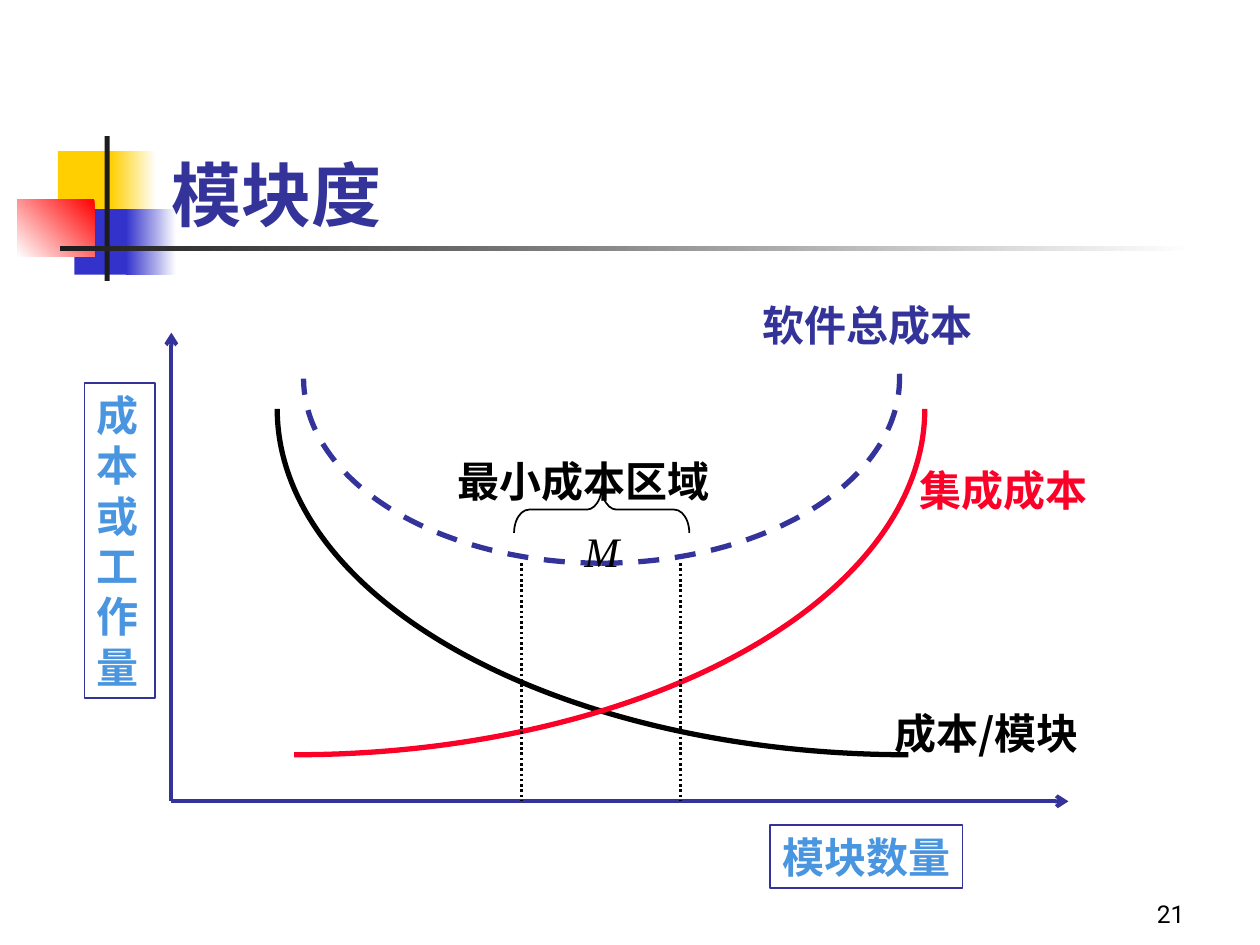
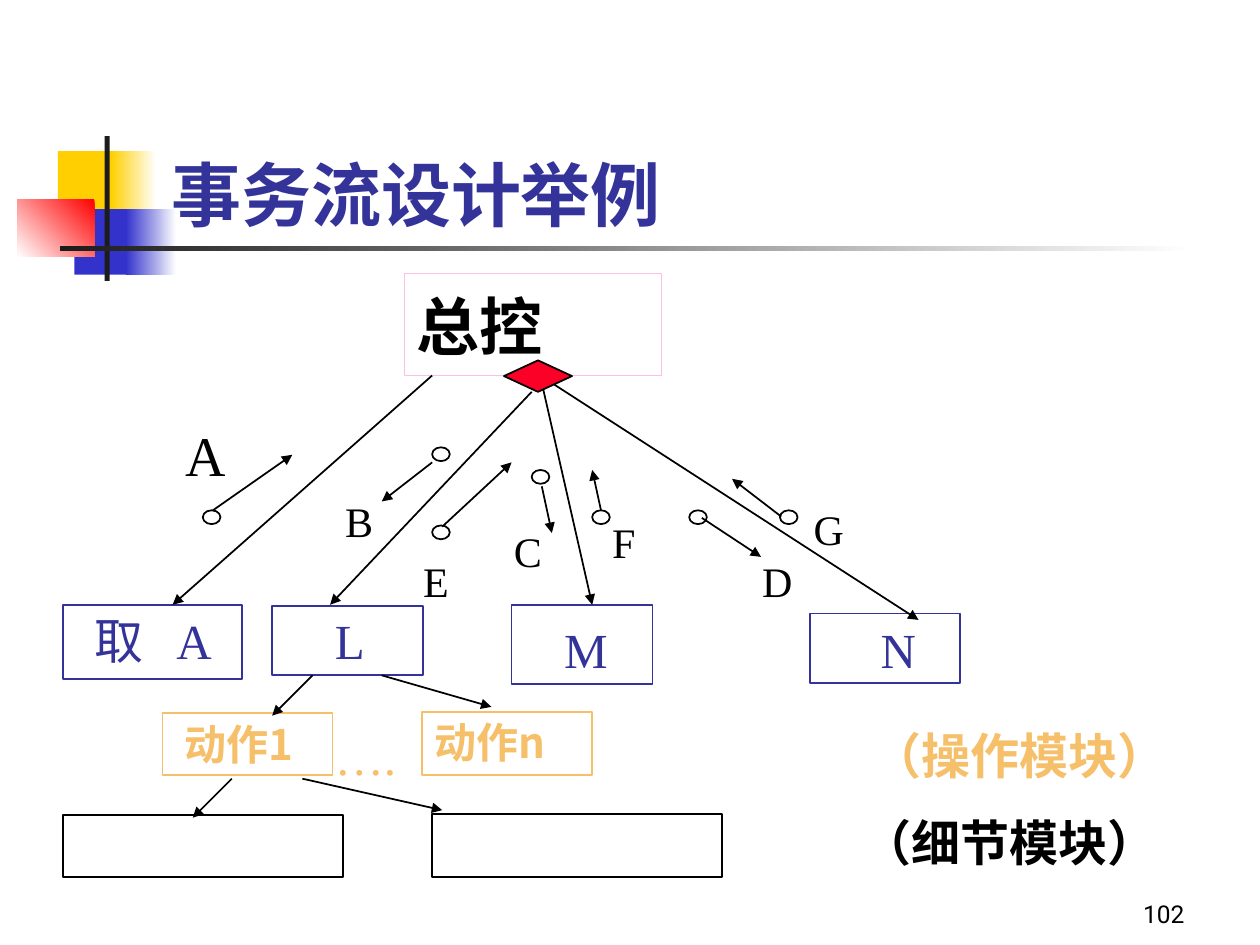
from dataclasses import dataclass

from lxml.etree import SubElement
from pptx import Presentation
from pptx.dml.color import RGBColor
from pptx.enum.dml import MSO_LINE
from pptx.enum.shapes import MSO_CONNECTOR, MSO_SHAPE
from pptx.enum.text import MSO_ANCHOR, MSO_AUTO_SIZE, PP_ALIGN
from pptx.oxml.ns import qn
from pptx.slide import Slide
from pptx.util import Inches, Pt

HUES = {
    "navy": "333399", "blue": "3333CC", "sky": "4A95E0", "gold": "FFCF01",
    "red": "FF0000", "rose": "FC0128", "pink": "FDC0E5", "sand": "F6BF69",
    "coal": "1C1C1C", "black": "000000", "white": "FFFFFF",
}
HAN, SERIF, SANS = "Noto Sans CJK SC", "Times New Roman", "Roboto"
BOLD = {"face": HAN, "bold": True}


def rgb(hue):
    """Return the named colour."""
    return RGBColor.from_string(HUES[hue])


def apply(item, **look):
    """Set each given format value on an item."""
    for key, value in look.items():
        setattr(item, key, value)


def ink(line, hue, width=1, dash=None):
    """Format an outline, or hide it when no colour is given."""
    if hue is None:
        line.fill.background()
        return
    line.color.rgb = rgb(hue)
    apply(line, width=Pt(width), dash_style=dash)


def write(frame, text, size, hue, face=SERIF, align=PP_ALIGN.LEFT, space=None, tab=None, **look):
    """Fill a text frame with one formatted paragraph."""
    frame.text = text
    para = frame.paragraphs[0]
    apply(para, alignment=align, line_spacing=space)
    if tab:
        stops = SubElement(para._p.get_or_add_pPr(), qn("a:tabLst"))
        SubElement(stops, qn("a:tab"), pos=str(Inches(tab)), algn="l")
    font = para.runs[0].font
    apply(font, name=face, size=Pt(size), **look)
    font.color.rgb = rgb(hue)
    SubElement(font._element, qn("a:ea"), typeface=HAN)


@dataclass
class Pen:
    """Draws on a slide, measuring from the corner of a box."""
    slide: Slide
    left: float
    top: float

    def spot(self, x, y):
        """Turn a place in the box into a place on the slide."""
        return Inches(self.left + x), Inches(self.top + y)

    def shape(self, box, fill=None, edge=None, kind=MSO_SHAPE.RECTANGLE, fade=None):
        """Draw a preset shape, plain or with a two-colour fade."""
        x, y, wide, high = box
        item = self.slide.shapes.add_shape(kind, *self.spot(x, y), Inches(wide), Inches(high))
        item.shadow.inherit = False
        ink(item.line, edge)
        if fade:
            *ends, angle = fade
            item.fill.gradient()
            item.fill.gradient_angle = angle
            for stop, hue, place in zip(item.fill.gradient_stops, ends, (0, 1)):
                stop.position = place
                stop.color.rgb = rgb(hue)
        elif fill:
            item.fill.solid()
            item.fill.fore_color.rgb = rgb(fill)
        else:
            item.fill.background()
        return item

    def text(self, text, box, size, hue, edge=None, wrap=True, inset=0.1, **look):
        """Add text, framed or not, in a box that grows with it."""
        x, y, wide, high = box
        if edge:
            item = self.shape(box, edge=edge)
        else:
            item = self.slide.shapes.add_textbox(*self.spot(x, y), Inches(wide), Inches(high))
        apply(item.text_frame, word_wrap=wrap, auto_size=MSO_AUTO_SIZE.SHAPE_TO_FIT_TEXT,
              vertical_anchor=MSO_ANCHOR.TOP, margin_left=Inches(inset))
        write(item.text_frame, text, size, hue, **look)
        return item

    def line(self, start, end, hue="black", width=1, dash=None, tip="triangle"):
        """Draw a straight line, with an arrowhead at its end."""
        item = self.slide.shapes.add_connector(
            MSO_CONNECTOR.STRAIGHT, *self.spot(*start), *self.spot(*end))
        ink(item.line, hue, width, dash)
        props = item.element.spPr
        if tip:
            SubElement(props.get_or_add_ln(), qn("a:tailEnd"), type=tip)
        SubElement(props, qn("a:effectLst"))

    def arc(self, box, hue, stop=180, flip=False, dash=None):
        """Draw an arc from the foot of an ellipse to an angle, mirrored if asked."""
        item = self.shape(box, kind=MSO_SHAPE.ARC)
        for index, angle in enumerate((90, stop)):
            item.adjustments[index] = angle * 0.6
        if flip:
            item.element.spPr.xfrm.set("flipH", "1")
        ink(item.line, hue, 3, dash)


def badge(slide, layout, left, top):
    """Draw the squares and rules beside the title and keep them in the layout."""
    for mark in list(layout.placeholders)[1:]:
        layout.shapes.element.remove(mark.element)
    pen = Pen(slide, left, top)
    parts = [
        ((0.32, 0.12, 0.48, 0.52), "gold", None),
        ((0.74, 0.12, 0.36, 0.52), None, ("white", "gold", 180)),
        ((0.45, 0.58, 0.46, 0.52), "blue", None),
        ((0.86, 0.58, 0.4, 0.52), None, ("white", "blue", 180)),
        ((0, 0.5, 0.61, 0.46), None, ("red", "white", 225)),
        ((0.69, 0, 0.04, 1.15), "coal", None),
        ((0.34, 0.87, 9, 0.04), None, ("white", "coal", 180)),
    ]
    for box, fill, fade in parts:
        layout.shapes.element.append(pen.shape(box, fill, fade=fade).element)


def head(slide, title, page):
    """Place the title and the page number."""
    item = slide.shapes.title
    apply(item, left=Inches(1.26), top=Inches(0.67), width=Inches(8.52), height=Inches(1.25))
    low = {"vertical_anchor": MSO_ANCHOR.BOTTOM, "auto_size": MSO_AUTO_SIZE.NONE}
    apply(item.text_frame, word_wrap=True, **low)
    write(item.text_frame, title, 40, "navy", SANS, bold=True)
    note = Pen(slide, 7.42, 6.92).text(
        page, (0, 0, 2.08, 0.5), 14, "black", face=SANS, align=PP_ALIGN.RIGHT)
    apply(note.text_frame, **low)


def costs(slide, left, top):
    """Draw the cost curves over the number of modules."""
    pen = Pen(slide, left, top)
    base, zero = 4.36, 1.36
    for end in ((8.48, base), (zero, 0.64)):
        pen.line((zero, base), end, "navy", 2.25, tip="arrow")
    pen.text("成本或工作量", (0.67, 1.04, 0.56, 2.5), 24, "sky", "navy", **BOLD)
    pen.text("模块数量", (6.11, 4.55, 1.53, 0.5), 24, "sky", "navy", False, **BOLD)
    pen.text("软件总成本", (5.95, 0.33, 2.3, 0.5), 24, "navy", **BOLD)
    pen.arc((2.2, -1.5, 10.02, 5.49), "black")
    pen.arc((-2.67, -1.5, 10.01, 5.49), "rose", flip=True)
    for stop, flip in ((180, False), (183.9, True)):
        pen.arc((2.41, -0.46, 4.73, 2.93), "navy", stop, flip, MSO_LINE.DASH)
    pen.text("集成成本", (7.2, 1.64, 2.3, 0.5), 24, "rose", **BOLD)
    pen.text("成本/模块", (7, 3.57, 2.02, 0.5), 24, "black", **BOLD)
    for x in (4.14, 5.4):
        pen.line((x, 2.47), (x, base), width=1.5, dash=MSO_LINE.ROUND_DOT, tip=None)
    brace = pen.shape((4.59, 1.35, 0.37, 1.39), edge="black", kind=MSO_SHAPE.LEFT_BRACE)
    brace.rotation = 90
    brace.adjustments[0] = 0.32
    pen.text("M", (4.54, 2.12, 0.48, 0.5), 24, "black", wrap=False, italic=True)
    pen.text("最小成本区域", (3.53, 1.57, 2.2, 0.5), 24, "black", wrap=False, **BOLD)


def signal(slide, left, top, name, start, tip, label, size=24):
    """Draw a data flow: a ring, its arrow and its letter."""
    pen = Pen(slide, left, top)
    pen.shape((0, 0, 0.14, 0.11), edge="black", kind=MSO_SHAPE.OVAL)
    pen.line(start, tip)
    pen.text(name, label, size, "black")


def tree(slide, left, top):
    """Draw the module tree below the main control."""
    pen = Pen(slide, left, top)
    for box, hue in (
        ((3.21, 0.17, 2.04, 0.81), "pink"),
        ((0.5, 2.8, 1.42, 0.59), "navy"),
        ((2.16, 2.81, 1.2, 0.55), "navy"),
        ((4.06, 2.8, 1.12, 0.63), "navy"),
        ((6.43, 2.87, 1.19, 0.55), "navy"),
        ((1.29, 3.66, 1.35, 0.49), "sand"),
        ((3.35, 3.65, 1.35, 0.5), "sand"),
        ((0.5, 4.47, 2.22, 0.49), "black"),
        ((3.43, 4.46, 2.3, 0.5), "black"),
    ):
        pen.shape(box, edge=hue)
    pen.text("总控", (3.03, 0.23, 2.23, 0.7), 36, "black", inset=0.28, **BOLD)
    pen.text("取\tA", (0.56, 2.89, 1.75, 0.47), 28, "navy", inset=0.19, space=0.8, tab=0.65)
    for name, box in (
        ("L", (2.56, 2.8, 0.96, 0.56)),
        ("M", (4.38, 2.87, 0.8, 0.56)),
        ("N", (6.89, 2.87, 0.96, 0.56)),
    ):
        pen.text(name, box, 28, "navy")
    for text, box, size, hue in (
        ("动作1", (1.37, 3.65, 1.5, 0.5), 24, "sand"),
        ("动作n", (3.35, 3.64, 1.82, 0.5), 24, "sand"),
        ("（操作模块）", (6.83, 3.71, 3.17, 0.57), 28, "sand"),
        ("（细节模块）", (6.75, 4.4, 3.25, 0.57), 28, "black"),
    ):
        pen.text(text, box, size, hue, **BOLD)
    pen.text("….", (2.56, 3.72, 0.8, 0.57), 28, "sand")
    for start, end in (
        ((3.43, 0.98), (1.37, 2.8)), ((4.22, 1.11), (2.62, 2.8)),
        ((4.3, 1.04), (4.7, 2.8)), ((4.38, 1.04), (7.29, 2.92)),
        ((2.48, 3.36), (2.16, 3.68)), ((3.03, 3.36), (3.9, 3.61)),
        ((1.84, 4.18), (1.53, 4.49)), ((2.4, 4.18), (3.51, 4.43)),
    ):
        pen.line(start, end)
    for x, y, *rest in (
        (1.61, 2.05, "A", (0.08, 0), (0.71, -0.44), (-0.24, -0.76, 0.49, 0.63), 32),
        (3.43, 1.55, "B", (0, 0.12), (-0.4, 0.43), (-0.79, 0.33, 0.55, 0.5)),
        (4.22, 1.73, "C", (0.08, 0.13), (0.16, 0.5), (-0.24, 0.39, 0.39, 0.5)),
        (5.47, 2.05, "D", (0.1, 0.06), (0.57, 0.37), (0.48, 0.31, 0.57, 0.5)),
        (3.43, 2.17, "E", (0.08, 0.01), (0.63, -0.5), (-0.17, 0.19, 0.49, 0.5)),
        (4.7, 2.05, "F", (0.07, 0), (0, -0.32), (0.06, 0, 0.33, 0.5)),
        (6.19, 2.05, "G", (0.01, 0.05), (-0.38, -0.25), (0.17, -0.1, 0.33, 0.5)),
    ):
        signal(slide, left + x, top + y, *rest)
    pen.shape((4, 0.86, 0.54, 0.25), "rose", "black", MSO_SHAPE.DIAMOND)


def main():
    """Build both slides and save them."""
    deck = Presentation()
    apply(deck, slide_width=Inches(10), slide_height=Inches(7.5))
    layout = deck.slide_layouts[5]
    pages = [("模块度", "21", costs), ("事务流设计举例", "102", tree)]
    for index, (title, page, draw) in enumerate(pages):
        slide = deck.slides.add_slide(layout)
        if index == 0:
            badge(slide, layout, 0.14, 1.08)
        head(slide, title, page)
        draw(slide, 0, 2)
    deck.save("out.pptx")


if __name__ == "__main__":
    main()
